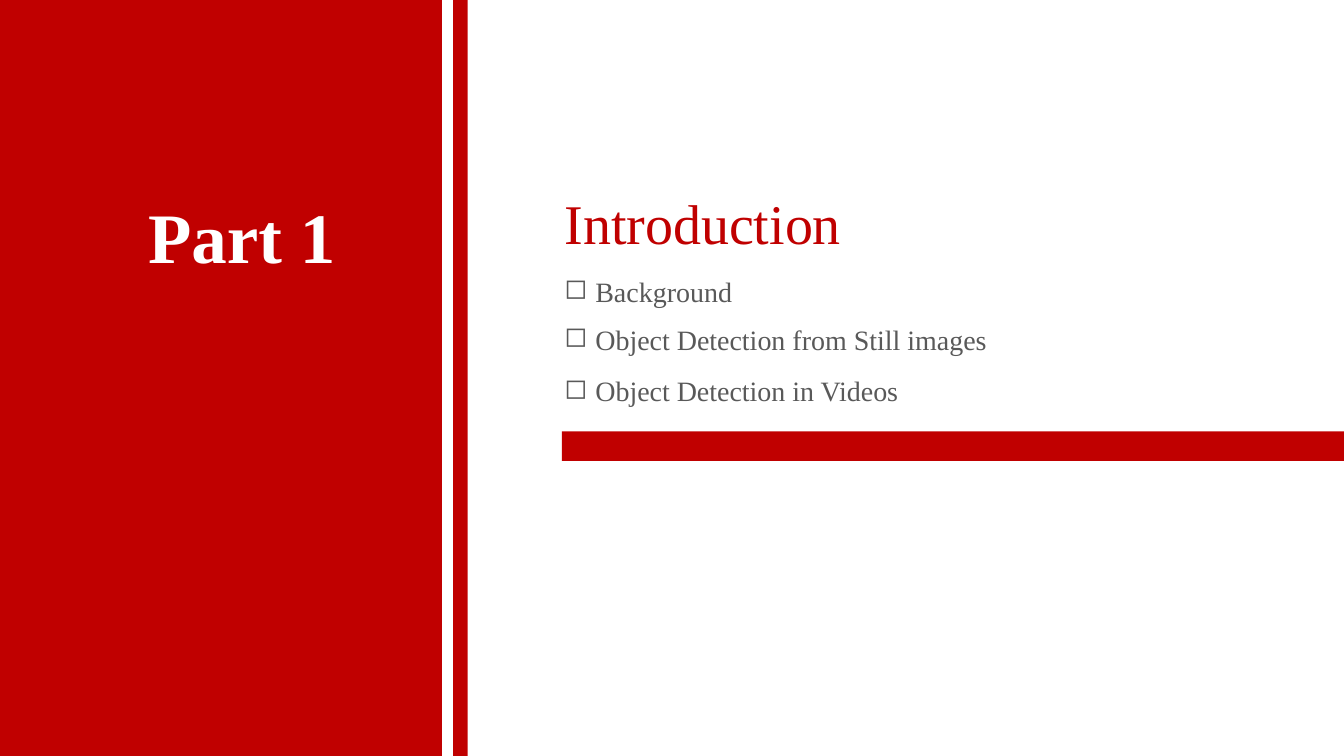
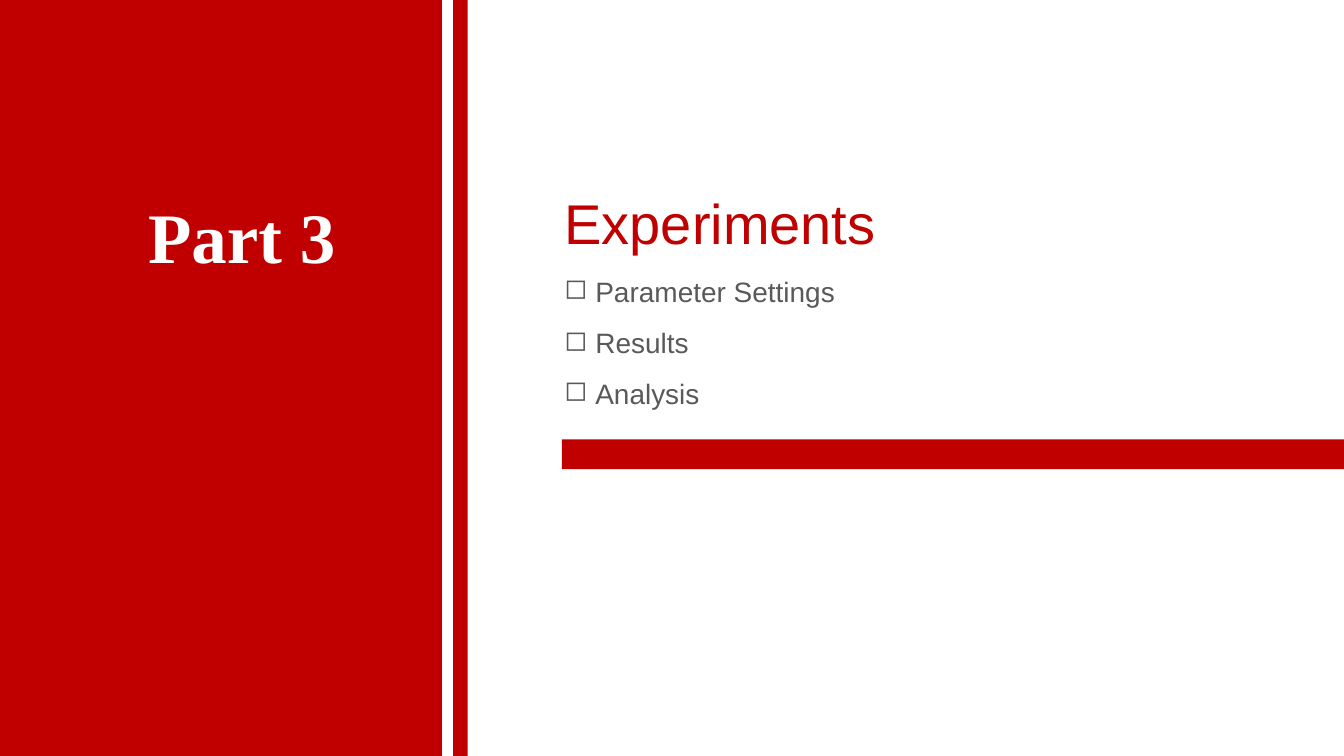
from dataclasses import dataclass

from lxml import etree
from pptx import Presentation, util as u
from pptx.dml.color import RGBColor
from pptx.enum import shapes, text
from pptx.oxml.ns import qn

RED, WHITE, GREY = "C00000", "FFFFFF", "595959"
SERIF, SANS = "Times New Roman", "Arial"

# Square grid of 100 columns; a 16:9 page has 56.25 rows.
COLUMNS, ROWS = 100, 56.25
CELL = u.Inches(10) // COLUMNS

TEXT_LEFT = 41.3
BAR_LEFT = 41.8
HEADING_TOP = 13.6
INDENT = 2.3

FRAME = {
    "margin_left": u.Inches(0.07), "margin_right": u.Inches(0.07),
    "margin_top": u.Inches(0.04), "margin_bottom": u.Inches(0.04),
    "auto_size": text.MSO_AUTO_SIZE.SHAPE_TO_FIT_TEXT,
}


@dataclass(frozen=True)
class Area:
    left: float
    top: float
    width: float
    height: float

    def lengths(self) -> list[int]:
        return [grid(n) for n in (self.left, self.top, self.width, self.height)]


@dataclass(frozen=True)
class Style:
    font: str
    size: float
    color: str
    bold: bool = False
    centered: bool = False
    wrap: bool = False
    bullet: str = ""


@dataclass(frozen=True)
class Topics:
    """One box of bulleted lines."""
    area: Area
    lines: tuple[str, ...]
    spacing: float = 1.0


@dataclass(frozen=True)
class Section:
    label: str
    heading: str
    heading_width: float
    font: str
    topics: tuple[Topics, ...]
    bar_top: float


PANELS = (Area(34.8, 0, COLUMNS - 34.8, ROWS), Area(32.9, 0, 0.8, ROWS))
LABEL_AREA = Area(4.3, 13.9, 27.4, 7.2)
LABEL_STYLE = Style(SERIF, 38, WHITE, bold=True, centered=True, wrap=True)

SECTIONS = (
    Section("Part 1", "Introduction", 22.3, SERIF, (
        Topics(Area(TEXT_LEFT, 20, 14.2, 3.3), ("Background",)),
        Topics(Area(TEXT_LEFT, 23.6, 33.2, 3.3), ("Object Detection from Still images",)),
        Topics(Area(TEXT_LEFT, 27.4, 26.6, 5.8), ("Object Detection in Videos",)),
    ), 32.1),
    Section("Part 3", "Experiments", 24.9, SANS, (
        Topics(Area(TEXT_LEFT, 20, 21.9, 3.3), ("Parameter Settings",)),
        Topics(Area(TEXT_LEFT, 22.6, 11.7, 8.3), ("Results", "Analysis"), 1.5),
    ), 32.7),
)


def grid(cells: float) -> int:
    return round(cells * CELL)


def color(value: str) -> RGBColor:
    return RGBColor.from_string(value)


def apply(target, values: dict) -> None:
    for name, value in values.items():
        setattr(target, name, value)


def add_band(page, area: Area, fill: str) -> None:
    band = page.shapes.add_shape(shapes.MSO_SHAPE.RECTANGLE, *area.lengths())
    band.shadow.inherit = False
    band.fill.solid()
    band.fill.fore_color.rgb = color(fill)
    band.line.fill.background()


def add_bullet(para, symbol: str) -> None:
    props = para._p.get_or_add_pPr()
    props.set("marL", str(grid(INDENT)))
    props.set("indent", str(-grid(INDENT)))
    etree.SubElement(props, qn("a:buChar")).set("char", symbol)


def add_text(page, area: Area, lines: tuple[str, ...], style: Style,
             spacing: float = 1.0) -> None:
    frame = page.shapes.add_textbox(*area.lengths()).text_frame
    apply(frame, FRAME | {"word_wrap": style.wrap})
    for index, line in enumerate(lines):
        para = frame.add_paragraph() if index else frame.paragraphs[0]
        para.line_spacing = spacing
        if style.centered:
            para.alignment = text.PP_ALIGN.CENTER
        if style.bullet:
            add_bullet(para, style.bullet)
        span = para.add_run()
        span.text = line
        apply(span.font, {"name": style.font, "size": u.Pt(style.size), "bold": style.bold})
        span.font.color.rgb = color(style.color)


def add_section(deck, section: Section) -> None:
    page = deck.slides.add_slide(deck.slide_layouts[6])
    page.background.fill.solid()
    page.background.fill.fore_color.rgb = color(RED)
    for panel in PANELS:
        add_band(page, panel, WHITE)
    add_text(page, LABEL_AREA, (section.label,), LABEL_STYLE)
    for topics in section.topics:
        add_text(page, topics.area, topics.lines,
                 Style(section.font, 15, GREY, bullet="◻"), topics.spacing)
    add_text(page, Area(TEXT_LEFT, HEADING_TOP, section.heading_width, 5.8),
             (section.heading,), Style(section.font, 30, RED))
    add_band(page, Area(BAR_LEFT, section.bar_top, COLUMNS - BAR_LEFT, 2.2), RED)


def main() -> None:
    deck = Presentation()
    apply(deck, {"slide_width": grid(COLUMNS), "slide_height": grid(ROWS)})
    for section in SECTIONS:
        add_section(deck, section)
    deck.save("out.pptx")


if __name__ == "__main__":
    main()
